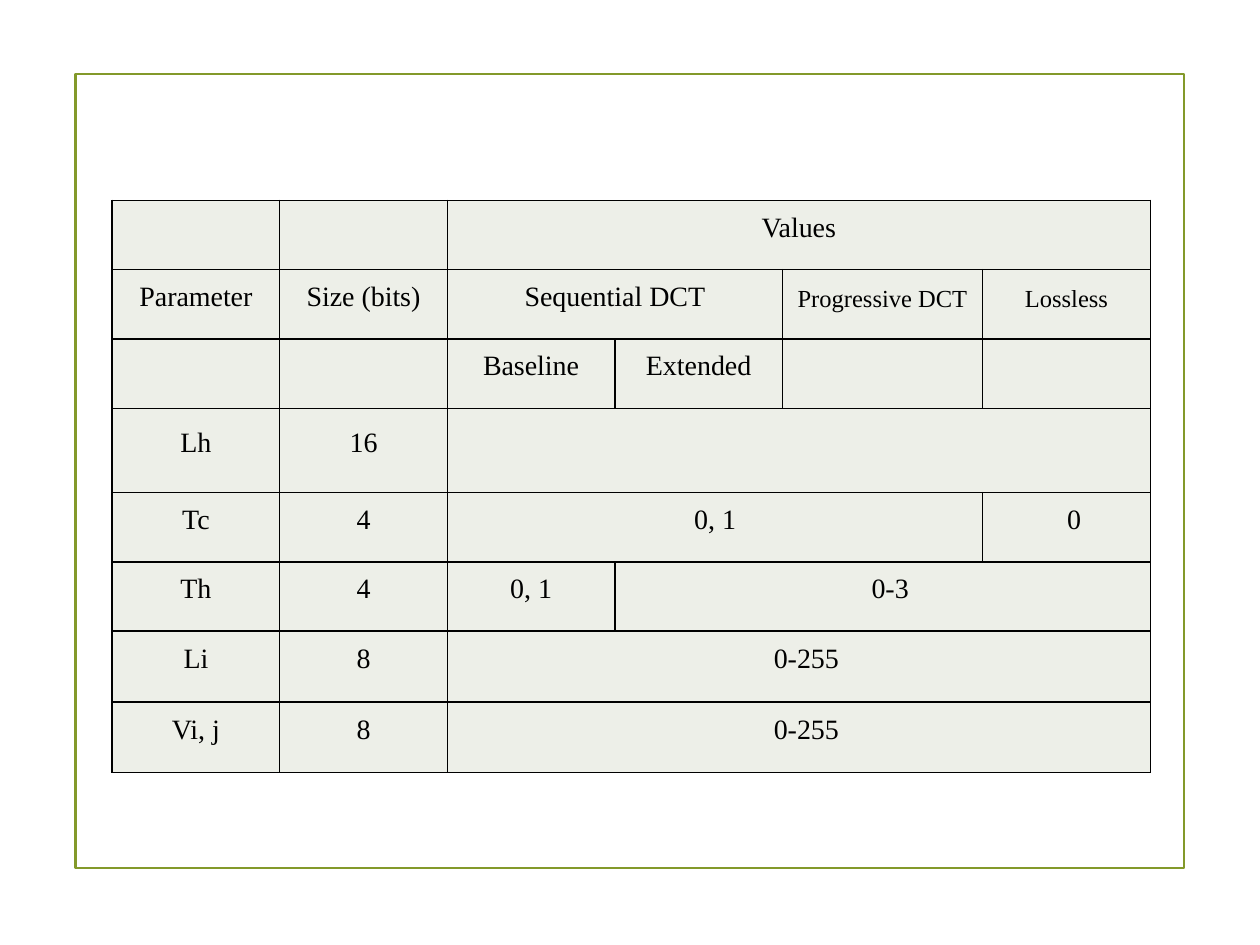
import pptx
import pptx.util
import pptx.dml.color
import pptx.enum.shapes
import pptx.enum.text
import pptx.oxml
import pptx.oxml.ns

Inches, Pt = pptx.util.Inches, pptx.util.Pt
RGB = pptx.dml.color.RGBColor.from_string

# Content: each row lists (text, columns spanned, style)
ROWS = [
    [("", 1, "head"), ("", 1, "head"), ("Values", 4, "head")],
    [("Parameter", 1, "head"), ("Size (bits)", 1, "head"), ("Sequential DCT", 2, "head"),
     ("Progressive DCT", 1, "small"), ("Lossless", 1, "small")],
    [("", 1, "head"), ("", 1, "head"), ("Baseline", 1, "head"), ("Extended", 1, "head"),
     ("", 1, "head"), ("", 1, "head")],
    [("Lh", 1, "body"), ("16", 1, "body"), ("", 4, "body")],
    [("Tc", 1, "body"), ("4", 1, "body"), ("0, 1", 3, "body"), ("0", 1, "range")],
    [("Th", 1, "body"), ("4", 1, "body"), ("0, 1", 1, "body"), ("0-3", 3, "range")],
    [("Li", 1, "body"), ("8", 1, "body"), ("0-255", 4, "range")],
    [("Vi, j", 1, "body"), ("8", 1, "body"), ("0-255", 4, "range")],
]
WIDTHS = [1.33, 1.33, 1.33, 1.33, 1.59, 1.33]
HEIGHTS = [0.55, 0.55, 0.55, 0.67, 0.55, 0.55, 0.56, 0.56]

# Style: font size, space before, space after, left indent
STYLES = {
    "head": (16, 4.3, 4.3, 0),
    "small": (14, 8.5, 0, 0),
    "body": (16, 5, 5, 0),
    "range": (16, 5, 5, 0.12),
}
COLORS = {"frame": "83992A", "cell": "EDEFE8", "ink": "000000"}
FONT = "Times New Roman"


def add_edges(cell):
    """Draw a 1 pt line on all four sides of a cell."""
    props = cell._tc.get_or_add_tcPr()
    for spot, side in enumerate(("lnL", "lnR", "lnT", "lnB")):
        props.insert(spot, pptx.oxml.parse_xml(
            f'<a:{side} {pptx.oxml.ns.nsdecls("a")} w="{Pt(1)}"><a:solidFill>'
            f'<a:srgbClr val="{COLORS["ink"]}"/></a:solidFill></a:{side}>'))


def write(cell, text, style):
    """Put one centred line of text in a cell."""
    size, before, after, indent = STYLES[style]
    para = cell.text_frame.paragraphs[0]
    para.alignment = pptx.enum.text.PP_ALIGN.CENTER
    para.line_spacing = Pt(9.5)
    para.space_before, para.space_after = Pt(before), Pt(after)
    if indent:
        para._p.get_or_add_pPr().set("marL", str(Inches(indent)))
    run = para.add_run()
    run.text = text
    run.font.name, run.font.size = FONT, Pt(size)
    run.font.color.rgb = RGB(COLORS["ink"])


deck = pptx.Presentation()
deck.slide_width, deck.slide_height = Inches(10), Inches(7.5)
slide = deck.slides.add_slide(deck.slide_layouts[6])

# Frame
frame = slide.shapes.add_shape(pptx.enum.shapes.MSO_SHAPE.RECTANGLE,
                               Inches(0.6), Inches(0.59), Inches(8.8), Inches(6.3))
frame.shadow.inherit = False
frame.fill.background()
frame.line.color.rgb = RGB(COLORS["frame"])
frame.line.width = Pt(1.25)

# Table grid
table = slide.shapes.add_table(len(ROWS), len(WIDTHS), Inches(0.89), Inches(1.59),
                               Inches(sum(WIDTHS)), Inches(sum(HEIGHTS))).table
table.first_row = table.horz_banding = False
for col, width in zip(table.columns, WIDTHS):
    col.width = Inches(width)
for row, height in zip(table.rows, HEIGHTS):
    row.height = Inches(height)
for cell in table.iter_cells():
    cell.fill.solid()
    cell.fill.fore_color.rgb = RGB(COLORS["cell"])
    cell.vertical_anchor = pptx.enum.text.MSO_ANCHOR.MIDDLE
    cell.margin_left = cell.margin_right = Inches(0.07)
    cell.margin_top = cell.margin_bottom = 0
    add_edges(cell)

# Merged cells and text
for r, row in enumerate(ROWS):
    c = 0
    for text, span, style in row:
        cell = table.cell(r, c)
        if span > 1:
            cell.merge(table.cell(r, c + span - 1))
        if text:
            write(cell, text, style)
        c += span

deck.save("out.pptx")
